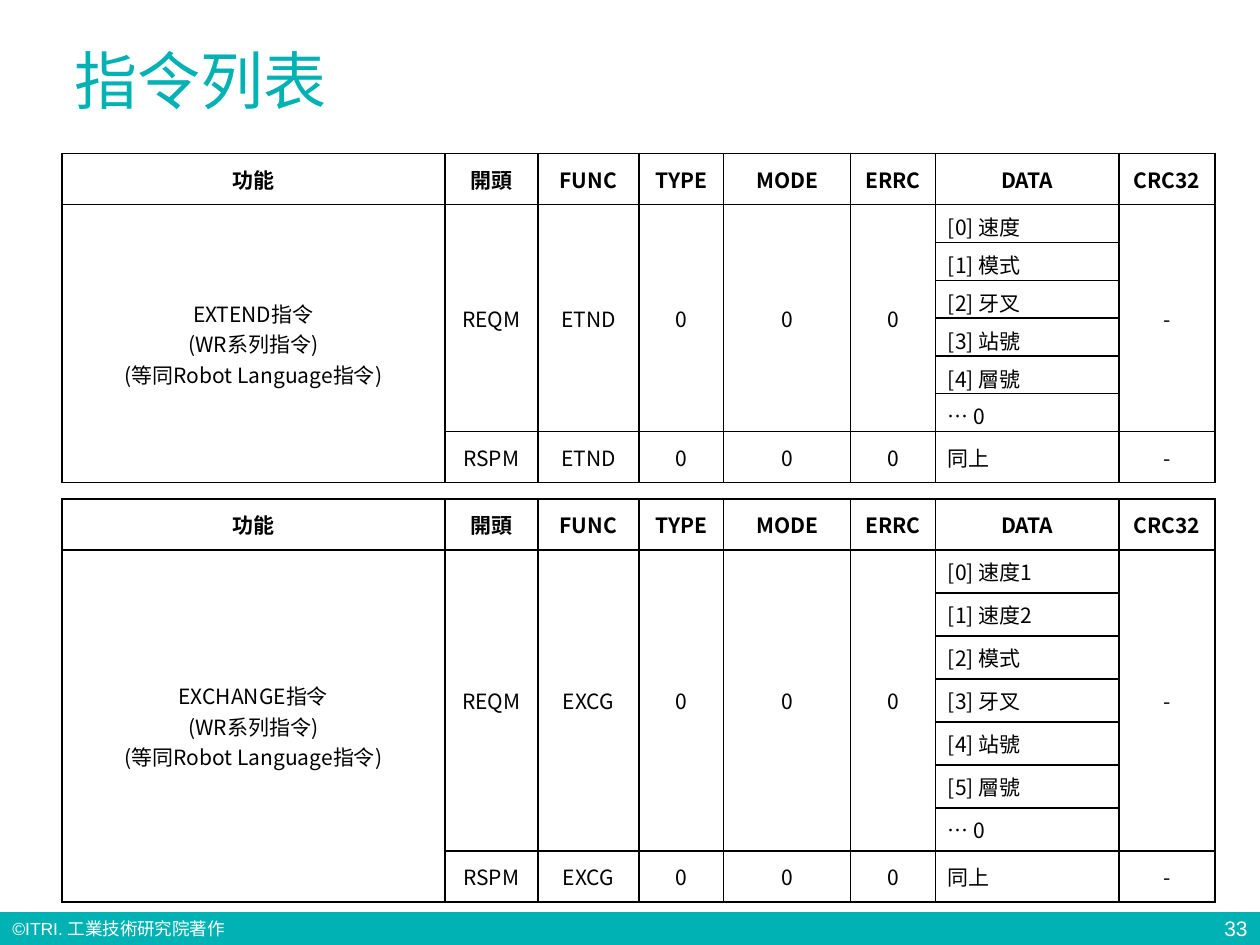
"""Build the command list slide with one table for each command."""
import pptx
import pptx.dml.color
import pptx.enum.shapes
import pptx.enum.text
import pptx.util
from lxml import etree
from pptx.oxml.ns import qn

Pt = pptx.util.Pt
Align = pptx.enum.text.PP_ALIGN
Anchor = pptx.enum.text.MSO_ANCHOR
TEAL, WHITE, BLACK = "00B2B3", "FFFFFF", "000000"
CJK_FONT = "Noto Sans CJK SC"
HEADERS = ["功能", "開頭", "FUNC", "TYPE", "MODE", "ERRC", "DATA", "CRC32"]
COLUMN_WIDTHS = [218.9, 53.3, 57.6, 48.5, 72.5, 48.5, 105, 54.7]
DATA_COLUMN = HEADERS.index("DATA")
EDGE_HEIGHT = 29.2


def color(hex_text):
    return pptx.dml.color.RGBColor.from_string(hex_text)


def write(frame, text, size=12, font=CJK_FONT, fill=BLACK, bold=False,
          align=Align.LEFT, spacing=None):
    for index, line in enumerate(text.split("\n")):
        para = frame.add_paragraph() if index else frame.paragraphs[0]
        para.alignment = align
        if spacing:
            para.line_spacing = spacing
        span = para.add_run()
        span.text = line
        span.font.name = font
        span.font.size = Pt(size)
        span.font.bold = bold
        span.font.color.rgb = color(fill)
        etree.SubElement(span.font._element, qn("a:ea"), typeface=CJK_FONT)


class Sheet:
    """Hold the style and the current slide."""

    def __init__(self, page):
        self.page = page
        self.border = BLACK
        self.border_width = Pt(1)

    def title(self, text, left, top, width, height):
        box = self.page.shapes.title
        box.left, box.top, box.width, box.height = map(Pt, (left, top, width, height))
        box.text_frame.vertical_anchor = Anchor.TOP
        write(box.text_frame, text, size=36, font="Arial", fill=TEAL, spacing=0.9)

    def bar(self, left, top, width, height):
        shape = self.page.shapes.add_shape(
            pptx.enum.shapes.MSO_SHAPE.RECTANGLE, *map(Pt, (left, top, width, height)))
        shape.shadow.inherit = False
        shape.fill.solid()
        shape.fill.fore_color.rgb = color(TEAL)
        shape.line.fill.background()

    def label(self, text, left, top, width, height, anchor=Anchor.TOP, **style):
        box = self.page.shapes.add_textbox(*map(Pt, (left, top, width, height)))
        box.text_frame.word_wrap = True
        box.text_frame.vertical_anchor = anchor
        write(box.text_frame, text, font="Arial", fill=WHITE, **style)

    def format_cell(self, cell):
        properties = cell._tc.get_or_add_tcPr()
        for side in ("lnL", "lnR", "lnT", "lnB"):
            line = etree.SubElement(properties, qn("a:" + side), w=str(self.border_width))
            solid = etree.SubElement(line, qn("a:solidFill"))
            etree.SubElement(solid, qn("a:srgbClr"), val=self.border)
        cell.fill.background()
        cell.vertical_anchor = Anchor.MIDDLE

    def command_table(self, command, code, data, top, row_height, margin_bottom):
        last = len(data) + 1
        heights = [EDGE_HEIGHT] + [row_height] * len(data) + [EDGE_HEIGHT]
        frame = self.page.shapes.add_table(
            len(heights), len(HEADERS), Pt(35.3), Pt(top),
            Pt(sum(COLUMN_WIDTHS)), Pt(sum(heights)))
        table = frame.table
        table.horz_banding = False
        table.first_row = False
        for column, width in zip(table.columns, COLUMN_WIDTHS):
            column.width = Pt(width)
        for row, height in zip(table.rows, heights):
            row.height = Pt(height)
        for cell in table.iter_cells():
            self.format_cell(cell)

        for column, header in enumerate(HEADERS):
            write(table.cell(0, column).text_frame, header, bold=True, align=Align.CENTER)
            if column != DATA_COLUMN:
                end = last if column == 0 else last - 1
                table.cell(1, column).merge(table.cell(end, column))
        function = f"{command}指令\n(WR系列指令)\n(等同Robot Language指令)"
        request = [function, "REQM", code, "0", "0", "0", None, "-"]
        response = [None, "RSPM", code, "0", "0", "0", None, "-"]
        for row, values in ((1, request), (last, response)):
            for column, value in enumerate(values):
                if value:
                    write(table.cell(row, column).text_frame, value, align=Align.CENTER)
        for row, value in enumerate(data + ["同上"], start=1):
            cell = table.cell(row, DATA_COLUMN)
            write(cell.text_frame, value)
            if row < last:
                cell.margin_bottom = Pt(margin_bottom)


def main():
    deck = pptx.Presentation()
    deck.slide_width, deck.slide_height = Pt(720), Pt(540)
    sheet = Sheet(deck.slides.add_slide(deck.slide_layouts[5]))
    sheet.bar(0, 521.3, 720, 18.7)
    sheet.label("©ITRI. 工業技術研究院著作", 0, 521.3, 280.8, 19.4, size=10)
    sheet.title("指令列表", 35.3, 25.2, 658.8, 69.8)
    sheet.label("33", 675.4, 521.3, 44.6, 18.7, anchor=Anchor.MIDDLE, align=Align.RIGHT)
    sheet.command_table(
        "EXTEND", "ETND",
        ["[0] 速度", "[1] 模式", "[2] 牙叉", "[3] 站號", "[4] 層號", "… 0"],
        top=87.8, row_height=21.6, margin_bottom=0)
    sheet.command_table(
        "EXCHANGE", "EXCG",
        ["[0] 速度1", "[1] 速度2", "[2] 模式", "[3] 牙叉", "[4] 站號", "[5] 層號", "… 0"],
        top=285.1, row_height=24.6, margin_bottom=3.6)
    deck.save("out.pptx")


if __name__ == "__main__":
    main()
